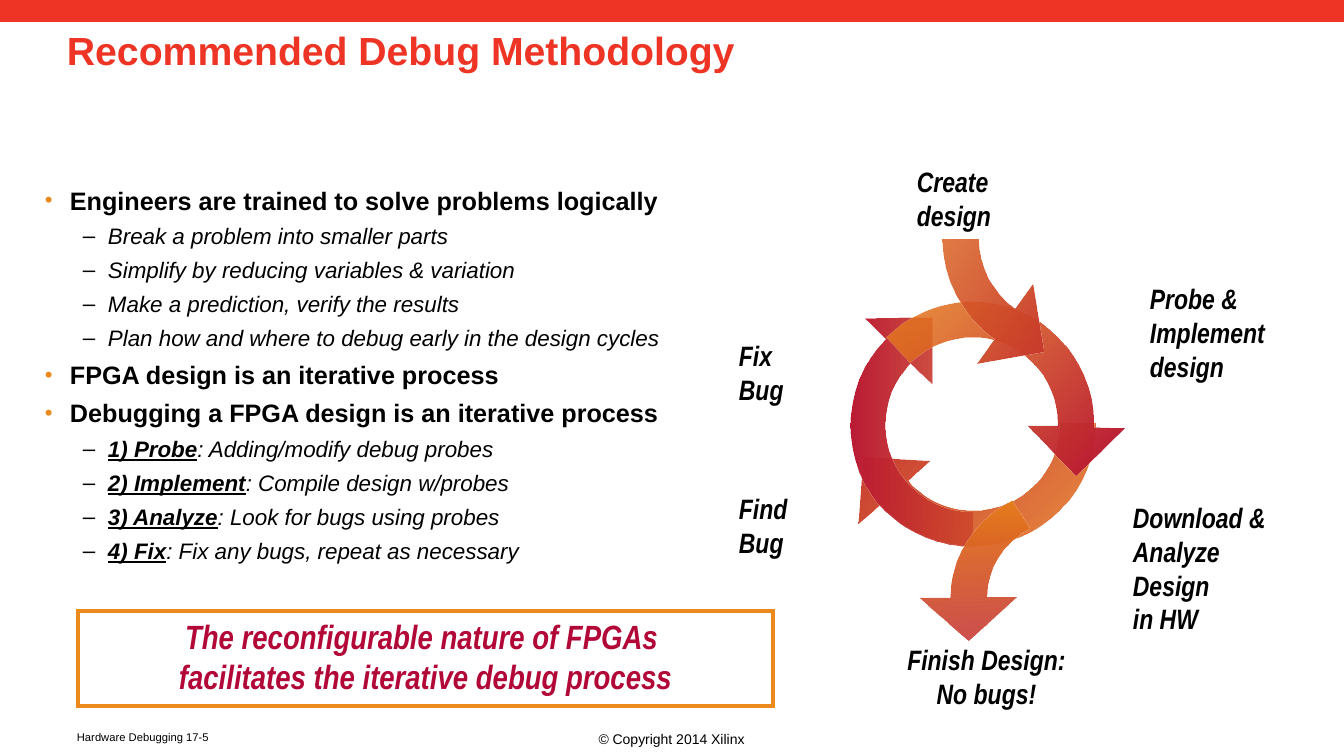
from itertools import chain
from math import cos, radians, sin

from lxml.etree import SubElement
from pptx import Presentation
from pptx.dml.color import RGBColor
from pptx.enum.shapes import MSO_SHAPE as Shape
from pptx.enum.text import MSO_ANCHOR as Anchor, PP_ALIGN as Align
from pptx.oxml.ns import qn
from pptx.util import Emu, Pt

PX = 12192000 / 1344  # EMU in one px
RED = RGBColor(0xEE, 0x34, 0x24)
ORANGE = RGBColor(0xEC, 0x89, 0x1D)
CRIMSON = RGBColor(0xB2, 0x08, 0x38)
BLACK = RGBColor(0, 0, 0)
SANS, NARROW = "Arial", "Arial Narrow"


def px(length):
    return Emu(round(length * PX))


def turn_back(point, box, rotation):
    """Place a point as it lies before its box is rotated."""
    left, top, width, height = box
    center_x, center_y = left + width / 2, top + height / 2
    dx, dy = point[0] - center_x, point[1] - center_y
    c, s = cos(radians(rotation)), sin(radians(rotation))
    return px(center_x + dx * c + dy * s), px(center_y - dx * s + dy * c)


class DebugSlide:
    def __init__(self, prs):
        self.shapes = prs.slides.add_slide(prs.slide_layouts[6]).shapes

    def run(self, paragraph, text, size, face=SANS, color=BLACK,
            bold=False, italic=False, underline=False):
        run = paragraph.add_run()
        run.text = text
        font = run.font
        font.size, font.name, font.color.rgb = Pt(size), face, color
        font.bold, font.italic, font.underline = bold, italic, underline

    def lines(self, frame, lines, size, align=Align.LEFT, **style):
        for index, line in enumerate(lines):
            paragraph = frame.add_paragraph() if index else frame.paragraphs[0]
            paragraph.alignment = align
            self.run(paragraph, line, size, **style)

    def text(self, box, lines, size, wrap=True, **style):
        frame = self.shapes.add_textbox(*map(px, box)).text_frame
        frame.word_wrap = wrap
        self.lines(frame, lines, size, **style)
        return frame

    def rect(self, box, fill=None, line=None):
        rect = self.shapes.add_shape(Shape.RECTANGLE, *map(px, box))
        rect.shadow.inherit = False
        if fill is None:
            rect.fill.background()
        else:
            rect.fill.solid()
            rect.fill.fore_color.rgb = fill
        if line is None:
            rect.line.fill.background()
        else:
            rect.line.color.rgb, rect.line.width = line, Pt(3)
            SubElement(rect._element.spPr.find(qn("a:ln")), qn("a:miter"), lim="800000")
        return rect

    def bullet(self, paragraph, level):
        indent, mark, color = [(25, "•", ORANGE), (63, "–", BLACK)][level]
        props = paragraph._p.get_or_add_pPr()
        props.set("marL", str(px(indent)))
        props.set("indent", str(px(-25)))
        tint = SubElement(props, qn("a:buClr"))
        SubElement(tint, qn("a:srgbClr"), val=str(color))
        SubElement(props, qn("a:buSzPct"), val="100000" if level else "88000")
        SubElement(props, qn("a:buFont"), typeface=SANS)
        SubElement(props, qn("a:buChar"), char=mark)

    def bullets(self, box, items):
        frame = self.shapes.add_textbox(*map(px, box)).text_frame
        frame.word_wrap, frame.margin_left = True, 0
        for index, (level, term, rest) in enumerate(items):
            paragraph = frame.add_paragraph() if index else frame.paragraphs[0]
            self.bullet(paragraph, level)
            paragraph.line_spacing = 1.1
            if index:
                paragraph.space_before = Pt(3.2 if level else 3.6)
            if level == 0:
                self.run(paragraph, rest, 18, bold=True)
                continue
            if term:
                self.run(paragraph, term, 16, bold=True, italic=True, underline=True)
            self.run(paragraph, rest, 16, italic=True)

    def curved_arrow(self, box, rotation, angle, opacities, start, segments):
        corners = [zip(segment[::2], segment[1::2]) for segment in segments]
        first, *others = [turn_back(point, box, rotation)
                          for point in chain([start], *corners)]
        builder = self.shapes.build_freeform(*first, scale=1.0)
        builder.add_line_segments(others, close=True)
        arrow = builder.convert_to_shape()

        # Stretch the frame to the whole box, leaving the outline in place
        left, top, width, height = map(px, box)
        shift_x, shift_y = arrow.left - left, arrow.top - top
        arrow.left, arrow.top, arrow.width, arrow.height = left, top, width, height
        arrow.rotation = rotation
        outline = next(arrow._element.iter(qn("a:path")))
        outline.set("w", str(width))
        outline.set("h", str(height))
        for point in outline.iter(qn("a:pt")):
            point.set("x", str(int(point.get("x")) + shift_x))
            point.set("y", str(int(point.get("y")) + shift_y))

        # Join each three control points into one Bezier curve
        strokes = iter(outline.findall(qn("a:lnTo")))
        for segment in segments:
            stroke = next(strokes)
            if len(segment) == 6:
                stroke.tag = qn("a:cubicBezTo")
                for extra in (next(strokes), next(strokes)):
                    stroke.append(extra[0])
                    outline.remove(extra)

        arrow.shadow.inherit = False
        arrow.line.fill.background()
        arrow.fill.gradient()
        arrow.fill.gradient_angle = 360 - angle
        for stop, color in zip(arrow.fill.gradient_stops, (ORANGE, CRIMSON)):
            stop.color.rgb = color
        for tint, opacity in zip(arrow._element.spPr.iter(qn("a:srgbClr")), opacities):
            SubElement(tint, qn("a:alpha"), val=str(opacity * 1000))


BODY = [
    (0, "", "Engineers are trained to solve problems logically"),
    (1, "", "Break a problem into smaller parts"),
    (1, "", "Simplify by reducing variables & variation"),
    (1, "", "Make a prediction, verify the results"),
    (1, "", "Plan how and where to debug early in the design cycles"),
    (0, "", "FPGA design is an iterative process"),
    (0, "", "Debugging a FPGA design is an iterative process"),
    (1, "1) Probe", ": Adding/modify debug probes"),
    (1, "2) Implement", ": Compile design w/probes"),
    (1, "3) Analyze", ": Look for bugs using probes"),
    (1, "4) Fix", ": Fix any bugs, repeat as necessary"),
]

STAGES = [
    ((907, 160, 134, 78), ["Create", "design"], Align.LEFT),
    ((1140, 277, 136, 112), ["Probe &", "Implement", "design"], Align.LEFT),
    ((897, 638, 179, 78), ["Finish Design:", "No bugs!"], Align.CENTER),
    ((729, 487, 76, 78), ["Find", "Bug"], Align.LEFT),
    ((729, 334, 66, 78), ["Fix", "Bug"], Align.LEFT),
    ((1123, 496, 154, 146), ["Download &", "Analyze", "Design", "in HW"], Align.LEFT),
]

# Box, rotation, gradient angle, opacities, start, outline
CYCLE = (851, 302, 244, 244)
ARROWS = [
    # Download to find bug
    (CYCLE, 134.5, 90, (85, 100), (908, 481),
     [(909, 483, 911, 484, 912, 486), (946, 519, 1001, 519, 1034, 485),
      (1050, 469, 1059, 447, 1059, 424), (1095, 424),
      (1095, 455, 1083, 487, 1059, 510), (1013, 557, 935, 558, 887, 511),
      (885, 509, 883, 507, 881, 504), (858, 524), (863, 457), (930, 461)]),
    # Find bug to fix bug
    (CYCLE, 225, 315, (85, 100), (910, 363),
     [(877, 397, 877, 453, 911, 486), (927, 502, 950, 511, 972, 511), (972, 546),
      (939, 546, 909, 533, 886, 511), (839, 464, 839, 386, 886, 339),
      (865, 318), (932, 317), (932, 384)]),
    # Fix bug to probe and download
    (CYCLE, 0, 45, (85, 100), (1058, 426),
     [(1058, 426, 1058, 425, 1058, 424), (1058, 377, 1020, 338, 973, 338),
      (950, 338, 928, 347, 911, 363), (887, 338), (909, 316, 941, 302, 973, 302),
      (1039, 302, 1094, 357, 1094, 424), (1094, 425, 1094, 426, 1094, 427),
      (1125, 428), (1076, 476), (1028, 426)]),
    # Create design into the cycle
    ((943, 117, 244, 244), 304.3, 90, (85, 100), (1015, 309),
     [(993, 293, 979, 267, 979, 240), (943, 240), (943, 279, 963, 316, 995, 339),
      (977, 364), (1044, 352), (1033, 284)]),
    # Cycle out to finished design
    ((951, 487, 244, 219), 358.2, 90, (100, 85), (987, 597),
     [(987, 570, 1003, 543, 1030, 529), (1012, 501), (974, 521, 951, 558, 951, 598),
      (920, 598), (969, 641), (1017, 597)]),
]


def main():
    prs = Presentation()
    prs.slide_width, prs.slide_height = px(1344), px(756)
    slide = DebugSlide(prs)

    # Banner and title
    slide.rect((0, 0, 1344, 22), fill=RED)
    title = slide.text((67, 24, 1210, 126), ["Recommended Debug Methodology"], 28,
                       color=RED, bold=True)
    title.margin_left = 0
    title.paragraphs[0].line_spacing = 0.98

    # Debug advice
    slide.bullets((45, 177, 649, 499), BODY)

    # Framed conclusion
    conclusion = slide.rect((78, 611, 695, 95), line=ORANGE).text_frame
    conclusion.vertical_anchor = Anchor.TOP
    slide.lines(conclusion, ["The reconfigurable nature of FPGAs ",
                             "facilitates the iterative debug process"],
                24, Align.CENTER, face=NARROW, color=CRIMSON, bold=True, italic=True)

    # Debug cycle
    for box, label, align in STAGES:
        slide.text(box, label, 20, wrap=False, align=align,
                   face=NARROW, bold=True, italic=True)
    for arrow in ARROWS:
        slide.curved_arrow(*arrow)

    # Footer
    notice = slide.text((459, 725, 425, 27), ["© Copyright 2014 Xilinx"], 10,
                        align=Align.CENTER)
    notice.vertical_anchor = Anchor.MIDDLE
    slide.text((67, 725, 236, 30), ["Hardware Debugging 17-5"], 8)

    prs.save("out.pptx")


if __name__ == "__main__":
    main()
